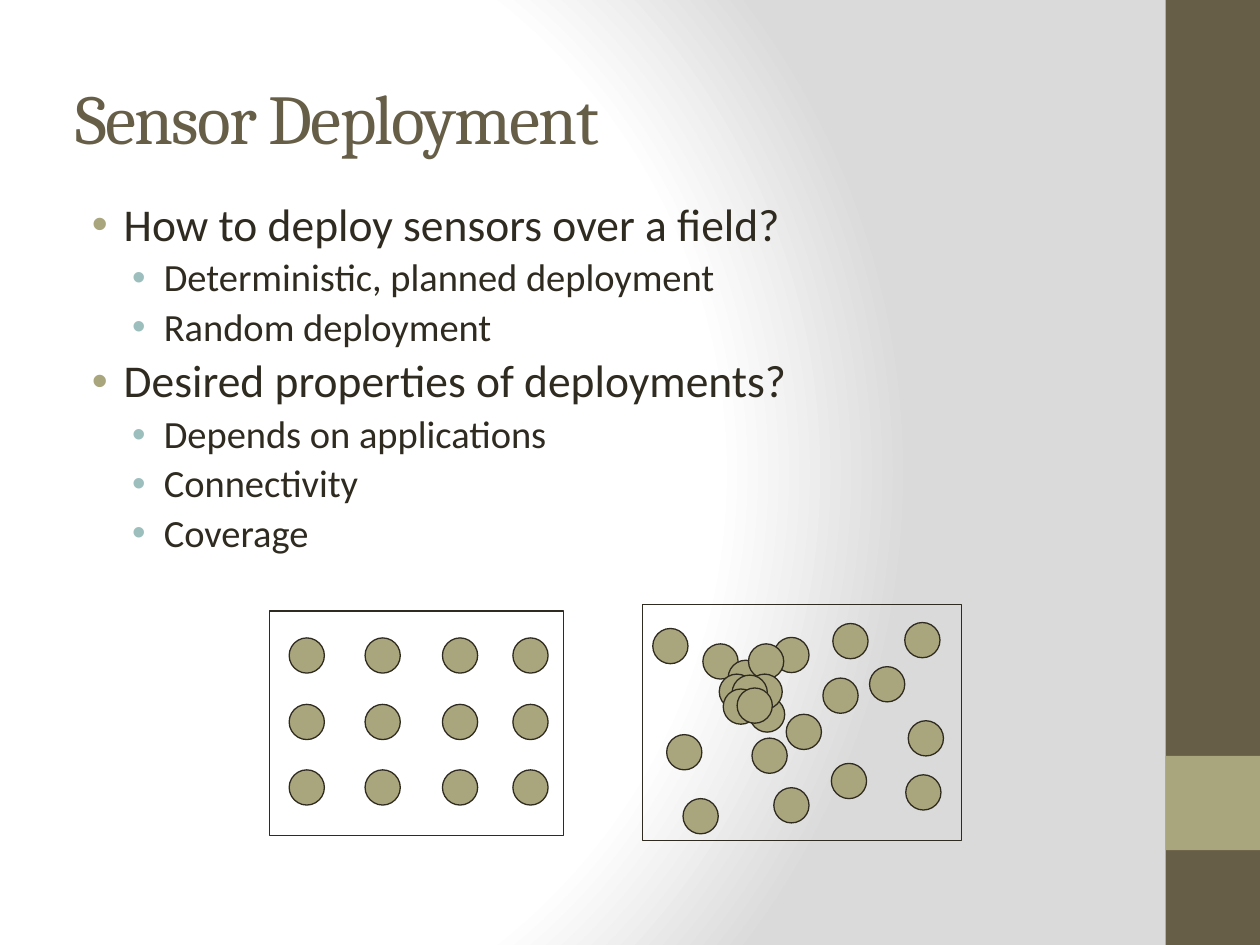
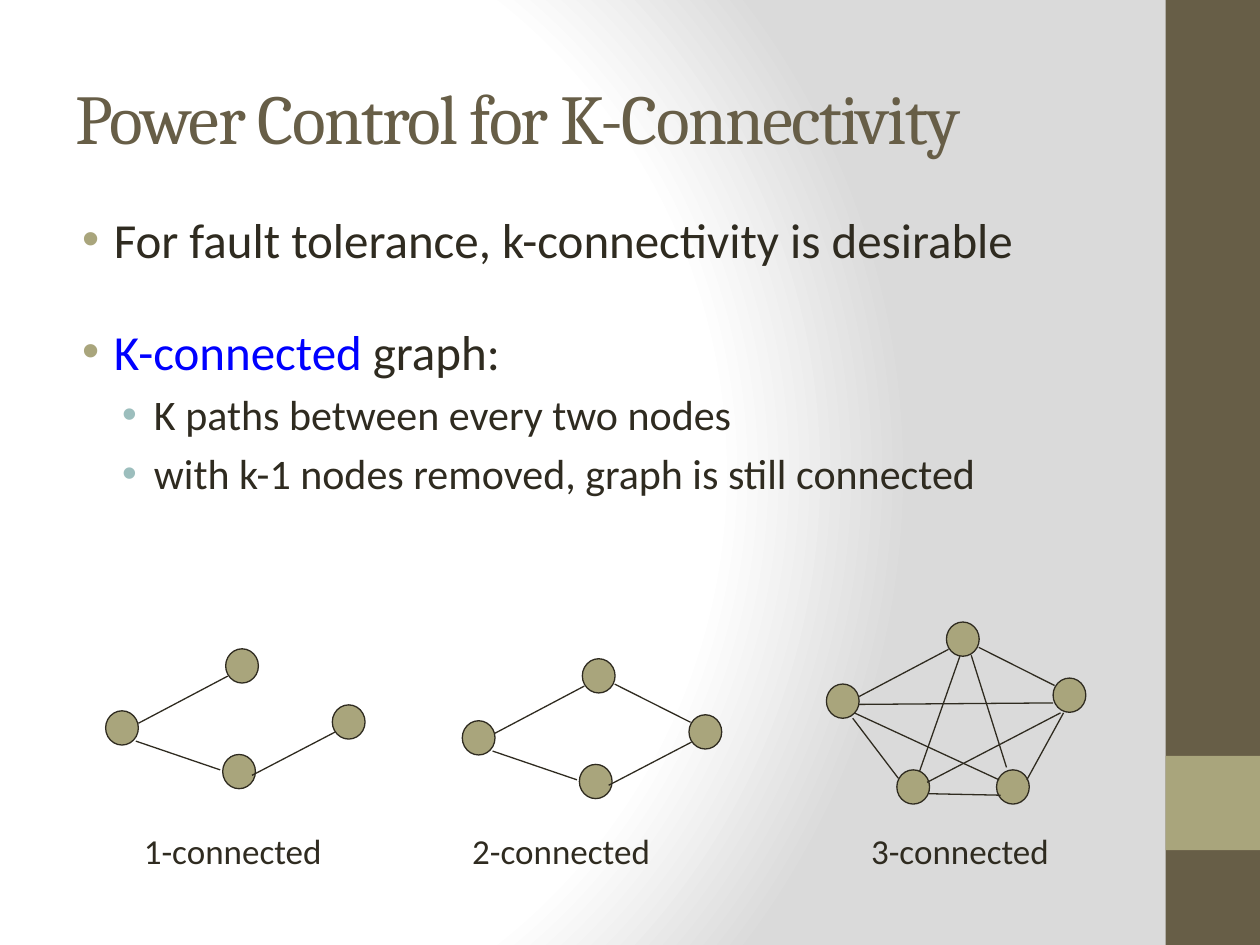
from lxml import etree
from pptx import Presentation
from pptx.dml.color import RGBColor
from pptx.enum.shapes import MSO_CONNECTOR, MSO_SHAPE
from pptx.enum.text import MSO_ANCHOR, MSO_AUTO_SIZE, PP_ALIGN
from pptx.oxml.ns import qn
from pptx.util import Cm, Pt

RECTANGLE, OVAL = MSO_SHAPE.RECTANGLE, MSO_SHAPE.OVAL
STRAIGHT = MSO_CONNECTOR.STRAIGHT
LEFT = PP_ALIGN.LEFT
TOP, MIDDLE = MSO_ANCHOR.TOP, MSO_ANCHOR.MIDDLE
NO_AUTOFIT = MSO_AUTO_SIZE.NONE

COLORS = {
    "brown": "675E47",
    "olive": "A9A57C",
    "teal": "9CBEBD",
    "ink": "2F2B20",
    "blue": "0000FF",
    "white": "FFFFFF",
    "gray": "DADADA",
}
TITLE_FONT, BODY_FONT = "Cambria", "Calibri"
BULLET_COLORS = ["olive", "teal"]
BULLET_INDENTS = [0.97, 1.78]
HANGING = 0.64
TITLE_BOX = (1.27, 0.76, 21.16, 3.18)
BANDS = [("brown", (23.5, 0, 1.9, 19.05)), ("olive", (23.5, 15.24, 1.9, 1.9))]
GRADIENT_STOPS = [(0, "white"), (75, "white"), (100, "gray")]
GRADIENT_FOCUS = {"l": 20, "t": 50, "r": 100, "b": 50}

SENSOR_SIZE = (0.71, 0.71)
PLANNED_FIELD = (5.44, 12.32, 5.92, 4.52)
PLANNED_COLUMNS = [5.83, 7.36, 8.92, 10.34]
PLANNED_ROWS = [12.86, 14.2, 15.52]
RANDOM_FIELD = (12.95, 12.19, 6.43, 4.75)
RANDOM_SENSORS = [
    (15.6, 12.85), (14.17, 12.98), (14.68, 13.31), (15.11, 14.05),
    (15.09, 12.98), (15.06, 13.59), (14.5, 13.59), (14.76, 13.61),
    (14.58, 13.89), (15.16, 14.88), (15.85, 14.4), (16.59, 13.67),
    (17.53, 13.44), (14.86, 13.87), (15.6, 15.88), (18.31, 14.53),
    (13.44, 14.81), (18.26, 15.62), (13.77, 16.1), (18.24, 12.55),
    (13.16, 12.67), (16.79, 12.57), (16.76, 15.39),
]

NODE_SIZE = (0.66, 0.69)
NODES = {
    "W": (0, 0),
    "N": (2.42, -1.25),
    "E": (4.57, -0.12),
    "S": (2.36, 0.88),
    "SW": (1.42, 1.73),
    "SE": (3.43, 1.73),
}
EDGES = {
    "W-N": (0.66, 0.25, 2.46, -0.7),
    "W-S": (0.61, 0.61, 2.31, 1.19),
    "S-E": (2.95, 1.3, 4.62, 0.43),
    "N-E": (3.07, -0.74, 4.6, 0.03),
    "W-SW": (0.53, 0.69, 1.45, 1.9),
    "SW-SE": (2.06, 2.21, 3.51, 2.24),
    "SE-E": (4.04, 1.93, 4.78, 0.58),
    "N-SW": (2.69, -0.56, 1.88, 1.75),
    "N-SE": (2.92, -0.58, 3.63, 1.68),
    "W-E": (0.64, 0.41, 4.57, 0.38),
    "SW-E": (2.03, 1.98, 4.72, 0.58),
    "SE-W": (3.48, 1.93, 0.56, 0.58),
}
GRAPHS = [
    ("1-connected", 2.65, (2.13, 14.33), "W N E S", "W-N W-S S-E"),
    ("2-connected", 9.27, (9.32, 14.53), "W N E S", "W-N W-S S-E N-E"),
    ("3-connected", 17.31, (16.66, 13.79), "W N E SW SE",
     "W-N N-E W-SW SW-SE SE-E N-SW N-SE W-E SW-E SE-W"),
]


def rgb(name):
    return RGBColor.from_string(COLORS[name])


def lengths(values):
    return [Cm(value) for value in values]


def write_text(para, text, font=BODY_FONT, size=20, color="ink", tracking=None):
    span = para.add_run()
    span.text = text
    span.font.name = font
    span.font.size = Pt(size)
    span.font.color.rgb = rgb(color)
    if tracking is not None:
        span.font._element.set("spc", str(tracking * 100))


def add_figure(page, kind, box, fill=None, line=None):
    figure = page.shapes.add_shape(kind, *lengths(box))
    figure.shadow.inherit = False
    if fill:
        figure.fill.solid()
        figure.fill.fore_color.rgb = rgb(fill)
    else:
        figure.fill.background()
    if line:
        figure.line.color.rgb = rgb(line)
        figure.line.width = Pt(0.75)
    else:
        figure.line.fill.background()
    return figure


def add_circle(page, left, top, size):
    add_figure(page, OVAL, (left, top, *size), fill="olive", line="ink")


def add_edge(page, ends):
    edge = page.shapes.add_connector(STRAIGHT, *lengths(ends))
    edge.line.color.rgb = rgb("ink")
    edge.line.width = Pt(0.75)
    etree.SubElement(edge.element.spPr, qn("a:effectLst"))


def add_label(page, text, left):
    label = page.shapes.add_textbox(*lengths((left, 16.59, 4.1, 1.12)))
    label.text_frame.word_wrap = True
    write_text(label.text_frame.paragraphs[0], text)


def place(holder, box, anchor):
    holder.left, holder.top, holder.width, holder.height = lengths(box)
    frame = holder.text_frame
    frame.auto_size = NO_AUTOFIT
    frame.vertical_anchor = anchor
    return frame


def set_bullet(para, level):
    para.level = level
    properties = para._p.get_or_add_pPr()
    properties.set("marL", str(Cm(BULLET_INDENTS[level])))
    properties.set("indent", str(-Cm(HANGING)))
    tint = etree.SubElement(properties, qn("a:buClr"))
    etree.SubElement(tint, qn("a:srgbClr"), val=COLORS[BULLET_COLORS[level]])
    etree.SubElement(properties, qn("a:buFont"), typeface="Arial")
    etree.SubElement(properties, qn("a:buChar"), char="•")


def fill_list(page, box, items, sizes, line_spacing=1.0):
    frame = place(page.placeholders[1], box, TOP)
    for index, (level, spans) in enumerate(items):
        para = frame.add_paragraph() if index else frame.paragraphs[0]
        set_bullet(para, level)
        para.line_spacing = line_spacing
        for text, color in spans:
            write_text(para, text, size=sizes[level], color=color)
    return frame


def add_page(deck, title):
    page = deck.slides.add_slide(deck.slide_layouts[1])
    para = place(page.shapes.title, TITLE_BOX, MIDDLE).paragraphs[0]
    para.alignment = LEFT
    write_text(para, title, font=TITLE_FONT, size=40, color="brown", tracking=-1)
    return page


def style_master(deck, page):
    master = deck.slide_master
    master.background.fill.gradient()
    gradient = master.element.find(".//" + qn("a:gradFill"))
    for child in list(gradient):
        gradient.remove(child)
    stops = etree.SubElement(gradient, qn("a:gsLst"))
    for percent, color in GRADIENT_STOPS:
        stop = etree.SubElement(stops, qn("a:gs"), pos=str(percent * 1000))
        etree.SubElement(stop, qn("a:srgbClr"), val=COLORS[color])
    circle = etree.SubElement(gradient, qn("a:path"), attrib={"path": "circle"})
    focus = {side: str(percent * 1000) for side, percent in GRADIENT_FOCUS.items()}
    etree.SubElement(circle, qn("a:fillToRect"), attrib=focus)

    for index, (color, box) in enumerate(BANDS):
        band = add_figure(page, RECTANGLE, box, fill=color)
        band.element.nvSpPr.cNvPr.set("id", str(100 + index))
        master.shapes.element.insert(2 + index, band.element)


def draw_deployments(page):
    for left, top in RANDOM_SENSORS:
        add_circle(page, left, top, SENSOR_SIZE)
    for top in PLANNED_ROWS:
        for left in PLANNED_COLUMNS:
            add_circle(page, left, top, SENSOR_SIZE)
    for field in (RANDOM_FIELD, PLANNED_FIELD):
        add_figure(page, RECTANGLE, field, line="ink")


def draw_graph(page, origin, nodes, edges):
    x, y = origin
    for node in nodes.split():
        dx, dy = NODES[node]
        add_circle(page, x + dx, y + dy, NODE_SIZE)
    for edge in edges.split():
        x1, y1, x2, y2 = EDGES[edge]
        add_edge(page, (x + x1, y + y1, x + x2, y + y2))


def build_deployment(deck):
    page = add_page(deck, "Sensor Deployment")
    style_master(deck, page)
    items = [
        (0, "How to deploy sensors over a field?"),
        (1, "Deterministic, planned deployment"),
        (1, "Random deployment"),
        (0, "Desired properties of deployments?"),
        (1, "Depends on applications"),
        (1, "Connectivity"),
        (1, "Coverage"),
    ]
    plain = [(level, [(text, "ink")]) for level, text in items]
    fill_list(page, (1.27, 3.94, 21.16, 8.64), plain, (26, 22), line_spacing=0.9)
    draw_deployments(page)


def build_connectivity(deck):
    page = add_page(deck, "Power Control for K-Connectivity")
    items = [
        (0, [("For fault tolerance, k-connectivity is desirable", "ink")]),
        (0, [("K-connected ", "blue"), ("graph:", "ink")]),
        (1, [("K paths between every two nodes", "ink")]),
        (1, [("with k-1 nodes removed, graph is still connected", "ink")]),
    ]
    frame = fill_list(page, (1.07, 4.09, 22.02, 6.48), items, (28, 24))
    frame.paragraphs[1].space_before = Pt(30.5)
    for name, label_left, origin, nodes, edges in GRAPHS:
        draw_graph(page, origin, nodes, edges)
        add_label(page, name, label_left)


def main():
    deck = Presentation()
    deck.slide_width, deck.slide_height = Cm(25.4), Cm(19.05)
    build_deployment(deck)
    build_connectivity(deck)
    deck.save("out.pptx")


if __name__ == "__main__":
    main()
